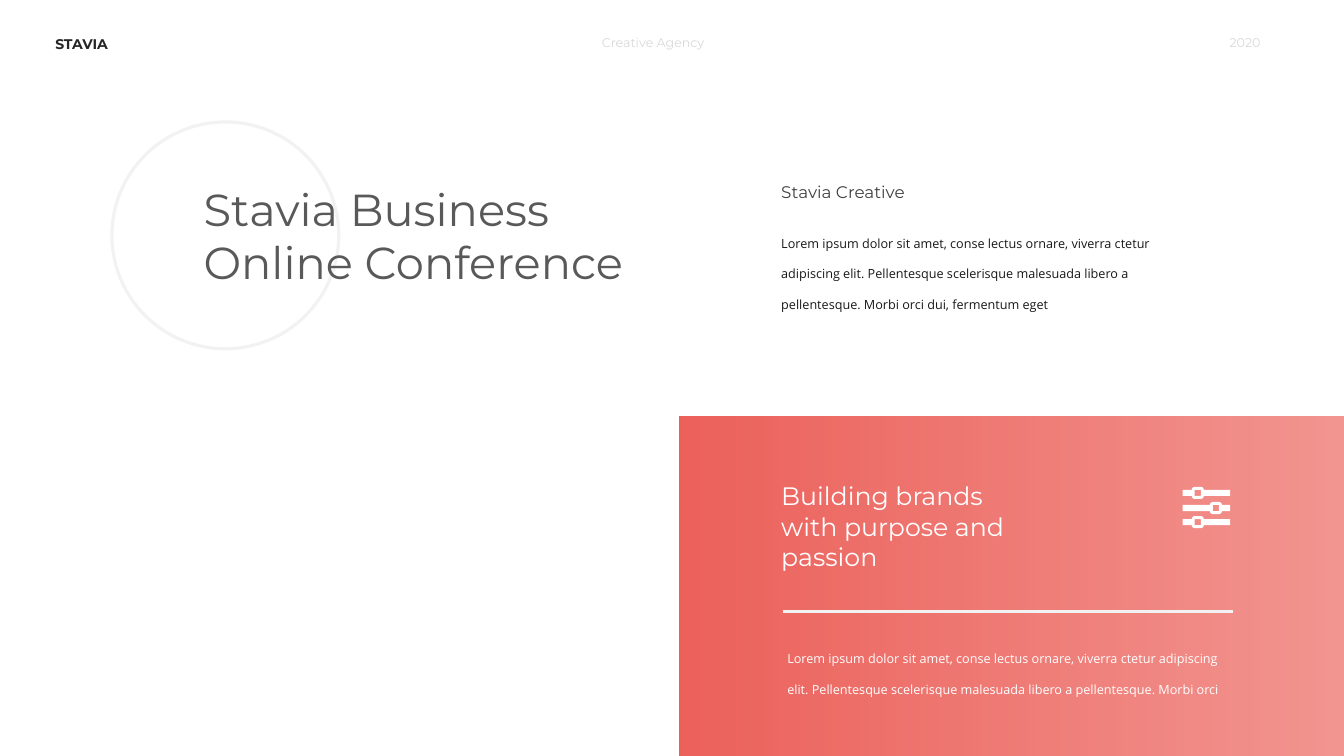
import math
from dataclasses import dataclass

from pptx import Presentation
from pptx import util as u
from pptx.dml.color import RGBColor
from pptx.enum import shapes, text
from pptx.oxml import ns, xmlchemy

WHITE = RGBColor(0xFF, 0xFF, 0xFF)
CORAL = RGBColor(0xEB, 0x4F, 0x48)
PALE_GREY = RGBColor(0xF2, 0xF2, 0xF2)
LIGHT_GREY = RGBColor(0xD9, 0xD9, 0xD9)
MID_GREY = RGBColor(0x59, 0x59, 0x59)
DARK_GREY = RGBColor(0x40, 0x40, 0x40)
CHARCOAL = RGBColor(0x26, 0x26, 0x26)
INK = RGBColor(0x18, 0x18, 0x18)

HEADING_FONT = "Montserrat"
BODY_FONT = "Open Sans"
RULE_WIDTH = u.Pt(2.25)


@dataclass(frozen=True)
class Copy:
    words: str
    left: float
    top: float
    width: float
    height: float
    size: float
    color: RGBColor
    font: str = HEADING_FONT
    bold: bool = False
    align: text.PP_ALIGN = text.PP_ALIGN.LEFT
    spacing: float = 1.0


@dataclass(frozen=True)
class Slider:
    knob_x: float
    y: float


HEADER = [
    Copy("Creative Agency", 5.87, 0.3, 1.58, 0.25, 9, LIGHT_GREY),
    Copy("2020", 11.02, 0.3, 1.58, 0.25, 9, LIGHT_GREY, align=text.PP_ALIGN.RIGHT),
    Copy("STAVIA", 0.45, 0.3, 1.07, 0.27, 10, CHARCOAL, bold=True),
]
INTRO = [
    Copy("Stavia Business Online Conference", 1.92, 1.75, 4.99, 1.18, 32, MID_GREY),
    Copy("Lorem ipsum dolor sit amet, conse lectus ornare, viverra ctetur adipiscing elit. "
         "Pellentesque scelerisque malesuada libero a pellentesque. Morbi orci dui, "
         "fermentum eget", 7.65, 2.14, 3.85, 0.97, 9, INK, BODY_FONT, spacing=2.0),
    Copy("Stavia Creative", 7.65, 1.75, 2.68, 0.3, 12, DARK_GREY),
]
PANEL_COPY = [
    Copy("Building brands with purpose and passion", 7.65, 4.72, 2.5, 1.01, 18, WHITE),
    Copy("Lorem ipsum dolor sit amet, conse lectus ornare, viverra ctetur adipiscing elit. "
         "Pellentesque scelerisque malesuada libero a pellentesque. Morbi orci",
         7.71, 6.26, 4.58, 0.66, 9, WHITE, BODY_FONT, spacing=2.0),
]

# Settings icon: three bars, each with a hollow rounded knob
SLIDERS = [Slider(11.88, 4.89), Slider(12.06, 5.04), Slider(11.88, 5.18)]
BAR_LEFT, BAR_RIGHT = 11.73, 12.2
BAR_HALF, KNOB_HALF, KNOB_RADIUS = 0.03, 0.06, 0.03


def add_copy(slide, copy: Copy) -> None:
    box = slide.shapes.add_textbox(u.Inches(copy.left), u.Inches(copy.top),
                                   u.Inches(copy.width), u.Inches(copy.height))
    frame = box.text_frame
    frame.word_wrap = True
    frame.auto_size = text.MSO_AUTO_SIZE.SHAPE_TO_FIT_TEXT
    paragraph = frame.paragraphs[0]
    paragraph.text = copy.words
    paragraph.alignment = copy.align
    paragraph.line_spacing = copy.spacing
    paragraph.font.name = copy.font
    paragraph.font.size = u.Pt(copy.size)
    paragraph.font.bold = copy.bold
    paragraph.font.color.rgb = copy.color


def add_panel(slide) -> None:
    panel = slide.shapes.add_shape(shapes.MSO_SHAPE.RECTANGLE, u.Inches(6.74),
                                   u.Inches(4.13), u.Inches(6.6), u.Inches(3.37))
    panel.shadow.inherit = False
    panel.line.fill.background()
    panel.fill.gradient()
    panel.fill.gradient_angle = 0
    for stop, opacity in zip(panel.fill.gradient_stops, (90, 60)):
        stop.color.rgb = CORAL
        stop.color.brightness = 0
    tints = panel._element.spPr.iter(ns.qn("a:srgbClr"))
    for tint, opacity in zip(list(tints), (90, 60)):
        alpha = xmlchemy.OxmlElement("a:alpha")
        alpha.set("val", str(opacity * 1000))
        tint.append(alpha)


def add_ring(slide) -> None:
    ring = slide.shapes.add_shape(shapes.MSO_SHAPE.OVAL, u.Inches(1.11), u.Inches(1.21),
                                  u.Inches(2.25), u.Inches(2.25))
    ring.shadow.inherit = False
    ring.fill.background()
    ring.line.color.rgb = PALE_GREY
    ring.line.width = RULE_WIDTH


def add_divider(slide) -> None:
    divider = slide.shapes.add_connector(shapes.MSO_CONNECTOR.STRAIGHT, u.Inches(7.77),
                                         u.Inches(6.07), u.Inches(12.23), u.Inches(6.07))
    divider.line.color.rgb = PALE_GREY
    divider.line.width = RULE_WIDTH
    divider._element.spPr.append(xmlchemy.OxmlElement("a:effectLst"))


def slider_outline(slider: Slider) -> list[tuple[float, float]]:
    """Trace the bar and rounded knob, clockwise from the bar's top left."""
    inset = KNOB_HALF - KNOB_RADIUS
    top = []
    for side, start in ((-1, 180), (1, 90)):
        for angle in range(start, start - 91, -30):
            turn = math.radians(angle)
            top.append((slider.knob_x + side * inset + KNOB_RADIUS * math.cos(turn),
                        -inset - KNOB_RADIUS * math.sin(turn)))
    top = [(BAR_LEFT, -BAR_HALF), *top, (BAR_RIGHT, -BAR_HALF)]
    return ([(x, slider.y + dy) for x, dy in top]
            + [(x, slider.y - dy) for x, dy in reversed(top)])


def knob_hole(slider: Slider) -> list[tuple[float, float]]:
    corners = ((-1, -1), (-1, 1), (1, 1), (1, -1))
    return [(slider.knob_x + BAR_HALF * dx, slider.y + BAR_HALF * dy) for dx, dy in corners]


def add_settings_icon(slide) -> None:
    contours = [[(u.Inches(x), u.Inches(y)) for x, y in trace(slider)]
                for slider in SLIDERS for trace in (slider_outline, knob_hole)]
    builder = slide.shapes.build_freeform(*contours[0][0])
    for contour in contours:
        builder.move_to(*contour[0])
        builder.add_line_segments(contour[1:], close=True)
    icon = builder.convert_to_shape()
    icon.shadow.inherit = False
    icon.fill.solid()
    icon.fill.fore_color.rgb = WHITE
    icon.line.fill.background()


def main() -> None:
    deck = Presentation()
    deck.slide_width, deck.slide_height = u.Inches(13.33), u.Inches(7.5)
    slide = deck.slides.add_slide(deck.slide_layouts[6])

    # Header and backdrop
    for copy in HEADER:
        add_copy(slide, copy)
    add_panel(slide)
    add_ring(slide)

    # Title and introduction
    for copy in INTRO:
        add_copy(slide, copy)

    # Coral panel contents
    for copy in PANEL_COPY:
        add_copy(slide, copy)
    add_settings_icon(slide)
    add_divider(slide)

    deck.save("out.pptx")


if __name__ == "__main__":
    main()
